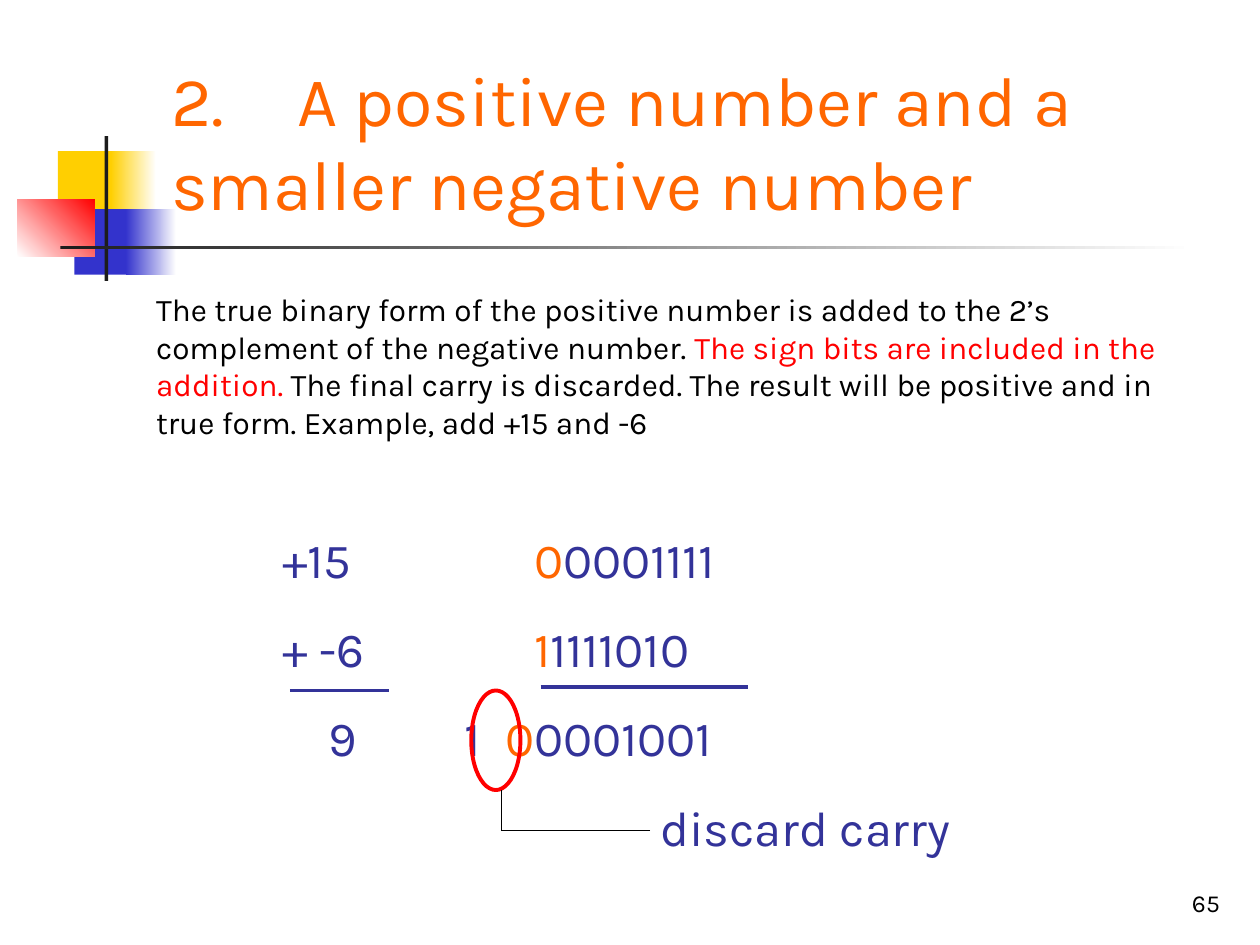
from dataclasses import dataclass

from lxml import etree
from pptx import Presentation
from pptx.dml.color import RGBColor
from pptx.enum.shapes import MSO_CONNECTOR, MSO_SHAPE
from pptx.enum.text import MSO_ANCHOR, PP_ALIGN
from pptx.oxml.ns import qn
from pptx.util import Inches, Pt

RECT, OVAL = MSO_SHAPE.RECTANGLE, MSO_SHAPE.OVAL
LINE = MSO_CONNECTOR.STRAIGHT
TOP, BOTTOM = MSO_ANCHOR.TOP, MSO_ANCHOR.BOTTOM
LEFT, RIGHT = PP_ALIGN.LEFT, PP_ALIGN.RIGHT


@dataclass(frozen=True)
class Theme:
    font: str = "Karla"
    white: str = "FFFFFF"
    black: str = "000000"
    dark: str = "1C1C1C"
    gold: str = "FFCF01"
    blue: str = "3333CC"
    navy: str = "333399"
    red: str = "FF0000"
    orange: str = "FF6600"
    title: int = 40
    sums: int = 28
    body: int = 18
    page: int = 14
    thick: float = 2.25
    thin: float = 0.75


THEME = Theme()


def color(code):
    return RGBColor.from_string(code)


def add_block(slide, box, start, end=None, angle=0):
    block = slide.shapes.add_shape(RECT, *map(Inches, box))
    block.shadow.inherit = False
    block.line.fill.background()
    if end is None:
        block.fill.solid()
        block.fill.fore_color.rgb = color(start)
        return
    block.fill.gradient()
    block.fill.gradient_angle = angle
    for stop, code in zip(block.fill.gradient_stops, (start, end)):
        stop.color.rgb = color(code)


def add_ring(slide, box):
    ring = slide.shapes.add_shape(OVAL, *map(Inches, box))
    ring.shadow.inherit = False
    ring.fill.background()
    ring.line.color.rgb = color(THEME.red)
    ring.line.width = Pt(THEME.thick)


def add_line(slide, ends, code, width):
    line = slide.shapes.add_connector(LINE, *map(Inches, ends))
    line.line.color.rgb = color(code)
    line.line.width = Pt(width)
    etree.SubElement(line._element.spPr, qn("a:effectLst"))


def add_frame(slide, box, anchor=TOP):
    frame = slide.shapes.add_textbox(*map(Inches, box)).text_frame
    frame.word_wrap = True
    frame.vertical_anchor = anchor
    return frame


def add_text(para, runs, size, tabs=(), before=0, align=LEFT):
    para.alignment = align
    para.space_before = Pt(before)
    if tabs:
        stops = etree.SubElement(para._p.get_or_add_pPr(), qn("a:tabLst"))
        for tab in tabs:
            etree.SubElement(stops, qn("a:tab"), pos=str(Inches(tab)), algn="l")
    for text, code in runs:
        run = para.add_run()
        run.text = text
        run.font.name = THEME.font
        run.font.size = Pt(size)
        run.font.color.rgb = color(code)


def add_motif(slide):
    add_block(slide, (0.46, 1.2, 0.48, 0.52), THEME.gold)
    add_block(slide, (0.88, 1.2, 0.36, 0.52), THEME.gold, THEME.white)
    add_block(slide, (0.59, 1.66, 0.46, 0.52), THEME.blue)
    add_block(slide, (1, 1.66, 0.4, 0.52), THEME.blue, THEME.white)
    add_block(slide, (0.14, 1.58, 0.61, 0.46), THEME.white, THEME.red, 45)
    add_block(slide, (0.83, 1.08, 0.03, 1.15), THEME.dark)
    add_block(slide, (0.48, 1.95, 9, 0.03), THEME.dark, THEME.white)


def add_body(slide):
    frame = add_frame(slide, (1.14, 2.25, 8.19, 5.25))
    add_text(frame.paragraphs[0], [
        ("The true binary form of the positive number is added to the 2’s "
         "complement of the negative number. ", THEME.black),
        ("The sign bits are included in the addition.", THEME.red),
        (" The final carry is discarded. The result will be positive and in "
         "true form. Example, add +15 and -6", THEME.black),
    ], THEME.body)
    rows = [
        ("\t+15\t", "0", "0001111", (1, 3), 50.4),
        ("\t+ -6\t", "1", "1111010", (1, 3), 17.5),
        ("\t9\t1\t", "0", "0001001", (1.37, 2.45, 2.77), 17.5),
    ]
    for lead, sign, bits, tabs, gap in rows:
        runs = [(lead, THEME.navy), (sign, THEME.orange), (bits, THEME.navy)]
        add_text(frame.add_paragraph(), runs, THEME.sums, tabs, gap)
    note = [("\tdiscard carry", THEME.navy)]
    add_text(frame.add_paragraph(), note, THEME.sums, (4,), 17.5)


def add_marks(slide):
    for ends in ((4.29, 5.45, 5.94, 5.45), (2.3, 5.48, 3.09, 5.48)):
        add_line(slide, ends, THEME.navy, THEME.thick)
    add_ring(slide, (3.74, 5.48, 0.39, 0.79))
    for ends in ((5.16, 6.59, 3.98, 6.59), (3.98, 6.59, 3.98, 6.27)):
        add_line(slide, ends, THEME.black, THEME.thin)


def main():
    deck = Presentation()
    deck.slide_width, deck.slide_height = Inches(10), Inches(7.5)
    slide = deck.slides.add_slide(deck.slide_layouts[6])
    add_motif(slide)
    title = add_frame(slide, (1.26, 0.23, 8.52, 1.6), BOTTOM)
    head = [("2.\tA positive number and a smaller negative number", THEME.orange)]
    add_text(title.paragraphs[0], head, THEME.title, (1,))
    add_body(slide)
    add_marks(slide)
    page = add_frame(slide, (7.7, 6.83, 2.08, 0.5), BOTTOM)
    add_text(page.paragraphs[0], [("65", THEME.black)], THEME.page, align=RIGHT)
    deck.save("out.pptx")


if __name__ == "__main__":
    main()
